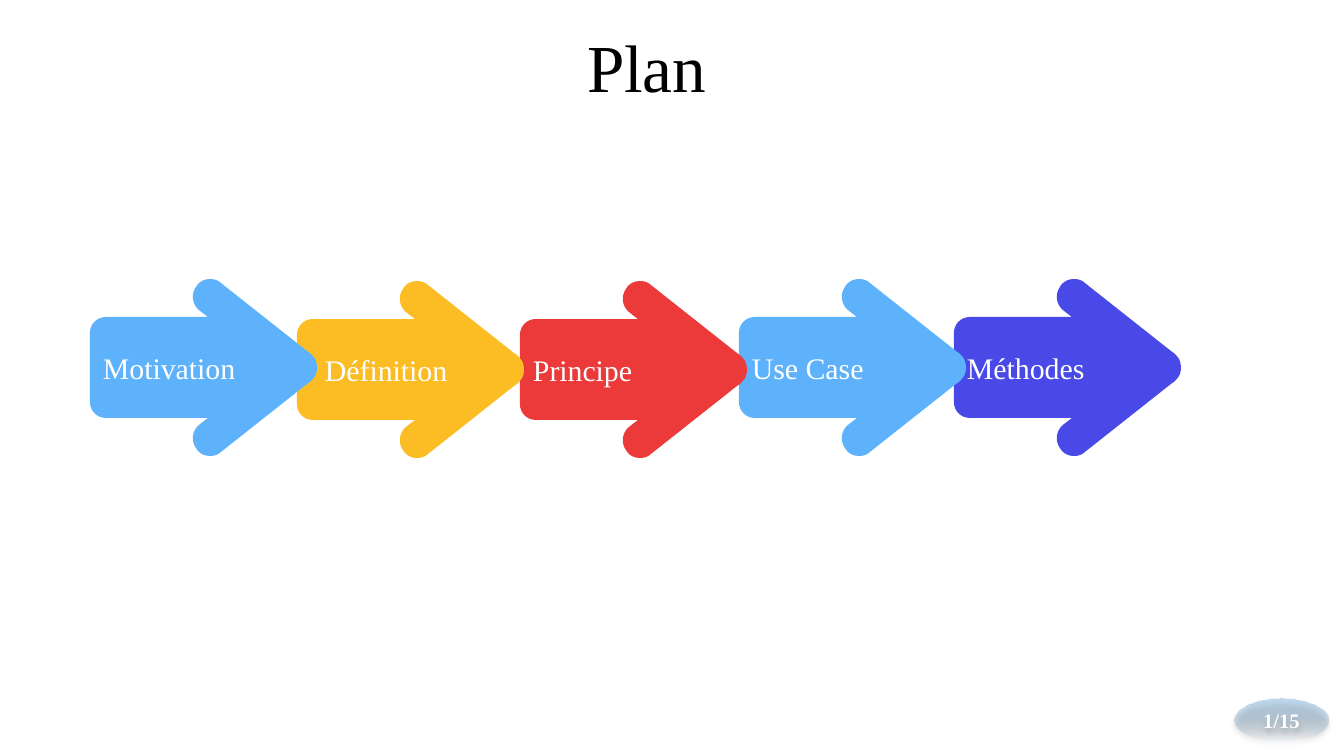
"""Build the plan slide: a chain of five arrows, a title and a page badge."""
from dataclasses import dataclass

from lxml import etree
from pptx import Presentation
from pptx import util as u
from pptx.dml.color import RGBColor
from pptx.enum import shapes, text
from pptx.oxml import parse_xml
from pptx.oxml.ns import nsdecls, qn

EMU_PER_PX = 914400 / 134.4
WHITE = RGBColor(0xFF, 0xFF, 0xFF)
BLACK = RGBColor(0x00, 0x00, 0x00)
SKY = RGBColor(0x5E, 0xB2, 0xFC)
AMBER = RGBColor(0xFC, 0xBD, 0x24)
RED = RGBColor(0xEC, 0x3A, 0x3B)
INDIGO = RGBColor(0x49, 0x49, 0xE7)
BADGE_BOTTOM = RGBColor(0x7F, 0xA0, 0xB9)
BADGE_TOP = RGBColor(0xBC, 0xD7, 0xEF)

FONT = "Times New Roman"
TITLE_FORMAT = {"name": FONT, "size": u.Pt(36), "bold": False}
STEP_FORMAT = {"name": FONT, "size": u.Pt(16)}
BADGE_FORMAT = {"name": FONT, "size": u.Pt(11), "bold": True}

ARROW_HEIGHT = 177
TIP = (227, 89)
UPPER_HALF = [
    [(227, 84), (226, 80), (222, 76)],
    [(221, 75), (219, 73), (217, 72)],
    [(131, 4)],
    [(128, 1), (124, 0), (120, 0)],
    [(115, 0), (111, 2), (108, 5)],
    [(106, 8)],
    [(101, 15), (102, 25), (109, 31)],
    [(118, 38)],
    [(16, 38)],
    [(7, 38), (0, 45), (0, 54)],
]


@dataclass
class Step:
    """One arrow of the plan."""
    label: str
    left: int
    top: int
    color: RGBColor
    indent: int = 13


STEPS = [
    Step("Motivation", 90, 279, SKY),
    Step("Définition", 297, 281, AMBER, 28),
    Step("Principe", 520, 281, RED),
    Step("Use Case", 739, 279, SKY),
    Step("Méthodes", 954, 279, INDIGO),
]


def px(value: int) -> u.Emu:
    """Convert pixels to EMU."""
    return u.Emu(round(value * EMU_PER_PX))


def arrow_outline() -> tuple:
    """Return the arrow's points and the point count of each segment, mirrored downwards."""
    upper = [TIP] + [point for segment in UPPER_HALF for point in segment]
    lower = [(x, ARROW_HEIGHT - y) for x, y in reversed(upper[1:])]
    counts = [len(segment) for segment in UPPER_HALF]
    return upper + lower + [TIP], counts + [1] + counts[::-1]


def bend(shape, counts: list) -> None:
    """Join each run of three lines into one cubic curve."""
    lines = iter(list(shape.element.iter(qn("a:lnTo"))))
    for count in counts:
        first, *others = [next(lines) for _ in range(count)]
        if count == 3:
            first.tag = qn("a:cubicBezTo")
            for other in others:
                first.append(other[0])
                other.getparent().remove(other)


def write(shape, words: str, formats: dict, color: RGBColor, align, inset: int = 13) -> None:
    """Put one formatted, vertically centred line in a shape."""
    frame = shape.text_frame
    frame_format = {
        "auto_size": text.MSO_AUTO_SIZE.NONE, "word_wrap": True,
        "vertical_anchor": text.MSO_ANCHOR.MIDDLE,
        "margin_left": px(inset), "margin_right": px(13),
        "margin_top": px(13), "margin_bottom": px(13),
    }
    for name, value in frame_format.items():
        setattr(frame, name, value)
    paragraph = frame.paragraphs[0]
    paragraph.alignment = align
    run = paragraph.add_run()
    run.text = words
    for name, value in formats.items():
        setattr(run.font, name, value)
    run.font.color.rgb = color


def add_arrow(slide, step: Step) -> None:
    """Draw one labelled arrow."""
    outline, counts = arrow_outline()
    points = [(px(step.left + x), px(step.top + y)) for x, y in outline]
    builder = slide.shapes.build_freeform(*points[0])
    builder.add_line_segments(points[1:], close=True)
    shape = builder.convert_to_shape()
    bend(shape, counts)
    shape.shadow.inherit = False
    shape.fill.solid()
    shape.fill.fore_color.rgb = step.color
    shape.line.fill.background()
    write(shape, step.label, STEP_FORMAT, WHITE, text.PP_ALIGN.LEFT, step.indent)


def add_badge(slide, words: str) -> None:
    """Draw the page badge, fading downwards over a soft shadow."""
    shape = slide.shapes.add_shape(shapes.MSO_SHAPE.OVAL, px(1235), px(699), px(93), px(43))
    shape.shadow.inherit = False
    shape.fill.background()
    shape.line.fill.background()
    properties = shape.element.spPr
    gradient = parse_xml(
        f'<a:gradFill {nsdecls("a")} rotWithShape="1"><a:gsLst>'
        f'<a:gs pos="0"><a:srgbClr val="{BADGE_BOTTOM}"><a:alpha val="0"/></a:srgbClr></a:gs>'
        f'<a:gs pos="100000"><a:srgbClr val="{BADGE_TOP}"/></a:gs></a:gsLst>'
        '<a:lin ang="16200000" scaled="0"/></a:gradFill>')
    properties.replace(properties.find(qn("a:noFill")), gradient)
    shadow = etree.SubElement(
        properties.find(qn("a:effectLst")), qn("a:outerShdw"), blurRad=str(u.Pt(3.1)),
        dist=str(u.Pt(1.8)), dir="5400000", rotWithShape="0")
    shadow_color = etree.SubElement(shadow, qn("a:srgbClr"), val=str(BLACK))
    etree.SubElement(shadow_color, qn("a:alpha"), val="35000")
    write(shape, words, BADGE_FORMAT, WHITE, text.PP_ALIGN.CENTER)


def add_title(slide, words: str) -> None:
    """Place and fill the title placeholder."""
    title = slide.shapes.title
    box = {"left": 574, "top": 30, "width": 165, "height": 71}
    for name, value in box.items():
        setattr(title, name, px(value))
    write(title, words, TITLE_FORMAT, BLACK, text.PP_ALIGN.LEFT)


def main() -> None:
    """Build and save the presentation."""
    presentation = Presentation()
    presentation.slide_width, presentation.slide_height = px(1344), px(756)
    slide = presentation.slides.add_slide(presentation.slide_layouts[5])
    add_title(slide, "Plan")
    for step in reversed(STEPS):
        add_arrow(slide, step)
    add_badge(slide, "1/15")
    presentation.save("out.pptx")


if __name__ == "__main__":
    main()
